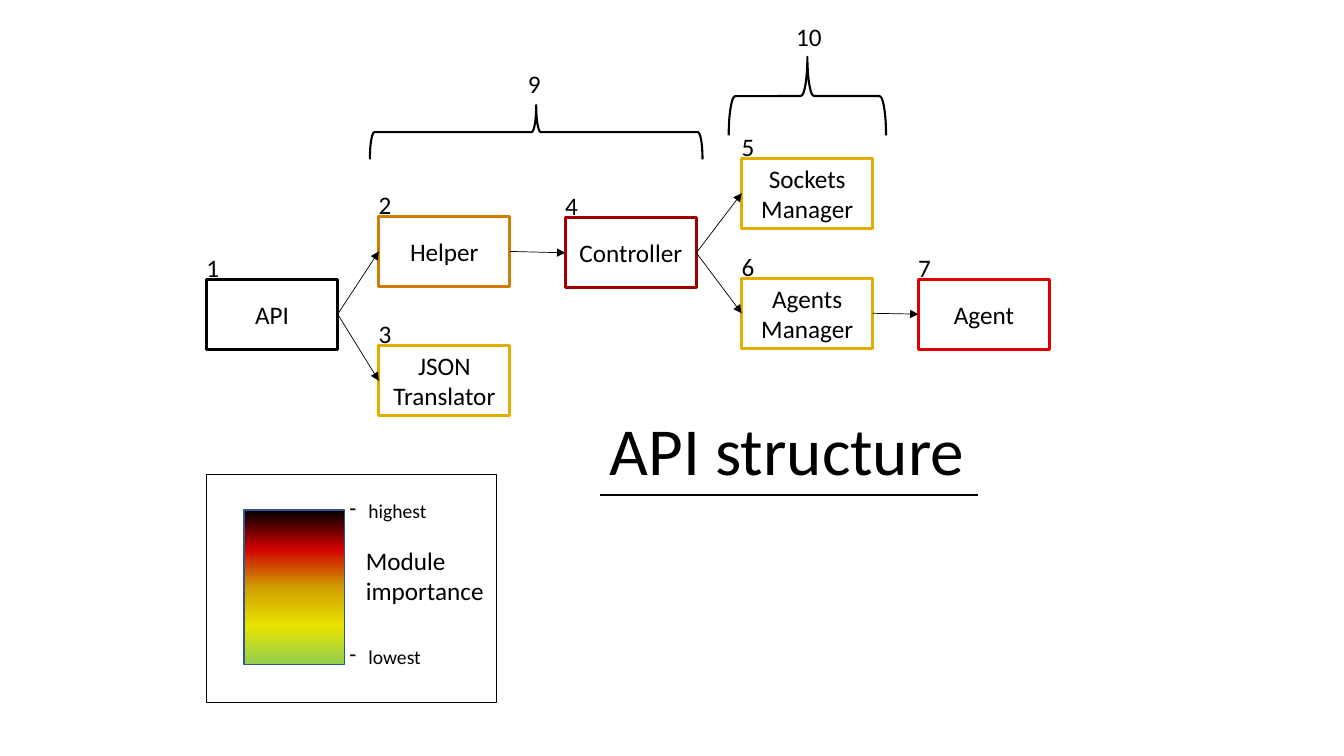
from copy import deepcopy
from dataclasses import dataclass

from lxml import etree
from pptx import Presentation
from pptx.dml import color
from pptx.enum import shapes, text
from pptx.oxml import ns
from pptx.util import Pt

MODULES = {
    "API": ("1", 147.6, 199.4, "000000"),
    "Helper": ("2", 270.6, 154.6, "D07C00"),
    "JSON Translator": ("3", 270.6, 247, "E2AC00"),
    "Controller": ("4", 403.8, 155.6, "9E0000"),
    "Sockets Manager": ("5", 529.8, 113, "E2AC00"),
    "Agents Manager": ("6", 529.8, 198.8, "E2AC00"),
    "Agent": ("7", 656, 199.4, "DE0000"),
}
CALLS = [
    ("API", "Helper"),
    ("API", "JSON Translator"),
    ("Helper", "Controller"),
    ("Controller", "Sockets Manager"),
    ("Controller", "Agents Manager"),
    ("Agents Manager", "Agent"),
]
BRACES = [
    ("9", (370, 45.4), (363.6, -24.4, 38.8, 237.6)),
    ("10", (561.6, 11.4), (548.6, 12.4, 56.2, 112.4)),
]
IMPORTANCE = [(0, "000000"), (0.25, "D00000"), (0.5, "D09E00"),
              (0.75, "E7E200"), (1, "92D050")]
MODULE_SIZE = (93.6, 50)
LEFT_SITE, RIGHT_SITE = 1, 3


@dataclass(frozen=True)
class Theme:
    font: str = "Calibri"
    ink: str = "000000"
    paper: str = "FFFFFF"
    scale_edge: str = "325491"
    title: float = 48
    body: float = 18
    small: float = 14


THEME = Theme()


def rgb(value):
    return color.RGBColor.from_string(value)


def add_run(p, words, size):
    r = p.add_run()
    r.text = words
    r.font.name = THEME.font
    r.font.size = Pt(size)
    r.font.color.rgb = rgb(THEME.ink)


def add_shape(s, kind, box, line, width, fill=None):
    sp = s.shapes.add_shape(kind, *map(Pt, box))
    sp.shadow.inherit = False
    sp.line.color.rgb = rgb(line)
    sp.line.width = Pt(width)
    if fill:
        sp.fill.solid()
        sp.fill.fore_color.rgb = rgb(fill)
    else:
        sp.fill.background()
    return sp


def add_module(s, name, left, top, line):
    sp = add_shape(s, shapes.MSO_SHAPE.RECTANGLE, (left, top, *MODULE_SIZE),
                   line, 2.25, THEME.paper)
    tf = sp.text_frame
    tf.word_wrap = True
    tf.vertical_anchor = text.MSO_ANCHOR.MIDDLE
    p = tf.paragraphs[0]
    p.alignment = text.PP_ALIGN.CENTER
    add_run(p, name, THEME.body)
    return sp


def add_label(s, words, box, size=THEME.body, wrap=False):
    tf = s.shapes.add_textbox(*map(Pt, box)).text_frame
    tf.word_wrap = wrap
    tf.auto_size = text.MSO_AUTO_SIZE.SHAPE_TO_FIT_TEXT
    p = tf.paragraphs[0]
    add_run(p, words, size)
    return p


def add_dash_label(s, words, left, top):
    p = add_label(s, words, (left, top, 70, 24.2), THEME.small)
    pPr = p._p.get_or_add_pPr()
    pPr.set("marL", str(Pt(13.4)))
    pPr.set("indent", str(-Pt(13.4)))
    etree.SubElement(pPr, ns.qn("a:buChar")).set("char", "-")


def add_line(s, ends, width):
    cx = s.shapes.add_connector(shapes.MSO_CONNECTOR.STRAIGHT, *map(Pt, ends))
    cx.line.color.rgb = rgb(THEME.ink)
    cx.line.width = Pt(width)
    etree.SubElement(cx._element.spPr, ns.qn("a:effectLst"))
    return cx


def add_arrow(s, source, target):
    cx = add_line(s, (0, 0, 0, 0), 0.5)
    cx.begin_connect(source, RIGHT_SITE)
    cx.end_connect(target, LEFT_SITE)
    ln = cx.line._get_or_add_ln()
    etree.SubElement(ln, ns.qn("a:tailEnd")).set("type", "triangle")


def add_brace(s, number, label_at, box):
    sp = add_shape(s, shapes.MSO_SHAPE.LEFT_BRACE, box, THEME.ink, 1.5)
    sp.rotation = 90
    add_label(s, number, (*label_at, 15 + 9 * len(number), 29))


def add_scale(s, box, stops):
    sp = add_shape(s, shapes.MSO_SHAPE.RECTANGLE, box, THEME.scale_edge, 1)
    sp.fill.gradient()
    sp.fill.gradient_angle = 270
    gs_list = sp._element.spPr.find(".//" + ns.qn("a:gsLst"))
    while len(gs_list) < len(stops):
        gs_list.append(deepcopy(gs_list[0]))
    for stop, (position, value) in zip(sp.fill.gradient_stops, stops):
        stop.position = position
        stop.color.rgb = rgb(value)


def add_legend(s):
    add_scale(s, (174.2, 364.4, 72, 110.2), IMPORTANCE)
    add_label(s, "Module importance", (254.2, 386, 101, 51), wrap=True)
    add_dash_label(s, "highest", 242.6, 353)
    add_dash_label(s, "lowest", 242.6, 457.4)
    add_shape(s, shapes.MSO_SHAPE.RECTANGLE, (147.6, 339.2, 207.4, 162.8),
              THEME.ink, 0.75)


def set_title(s, words, left, top, width, height):
    title = s.shapes.title
    title.left, title.top = Pt(left), Pt(top)
    title.width, title.height = Pt(width), Pt(height)
    tf = title.text_frame
    tf.word_wrap = False
    tf.auto_size = text.MSO_AUTO_SIZE.SHAPE_TO_FIT_TEXT
    tf.vertical_anchor = text.MSO_ANCHOR.TOP
    p = tf.paragraphs[0]
    p.alignment = text.PP_ALIGN.LEFT
    add_run(p, words, THEME.title)
    add_line(s, (left, top + height, left + width, top + height), 1.5)


def main():
    prs = Presentation()
    prs.slide_width, prs.slide_height = Pt(960), Pt(540)
    s = prs.slides.add_slide(prs.slide_layouts.get_by_name("Title Only"))
    set_title(s, "API structure", 428.4, 288, 270.4, 65.5)
    modules = {}
    for name, (number, left, top, line) in MODULES.items():
        modules[name] = add_module(s, name, left, top, line)
        add_label(s, number, (left - 7.2, top - 23, 24, 29))
    for source, target in CALLS:
        add_arrow(s, modules[source], modules[target])
    for brace in BRACES:
        add_brace(s, *brace)
    add_legend(s)
    prs.save("out.pptx")


main()
